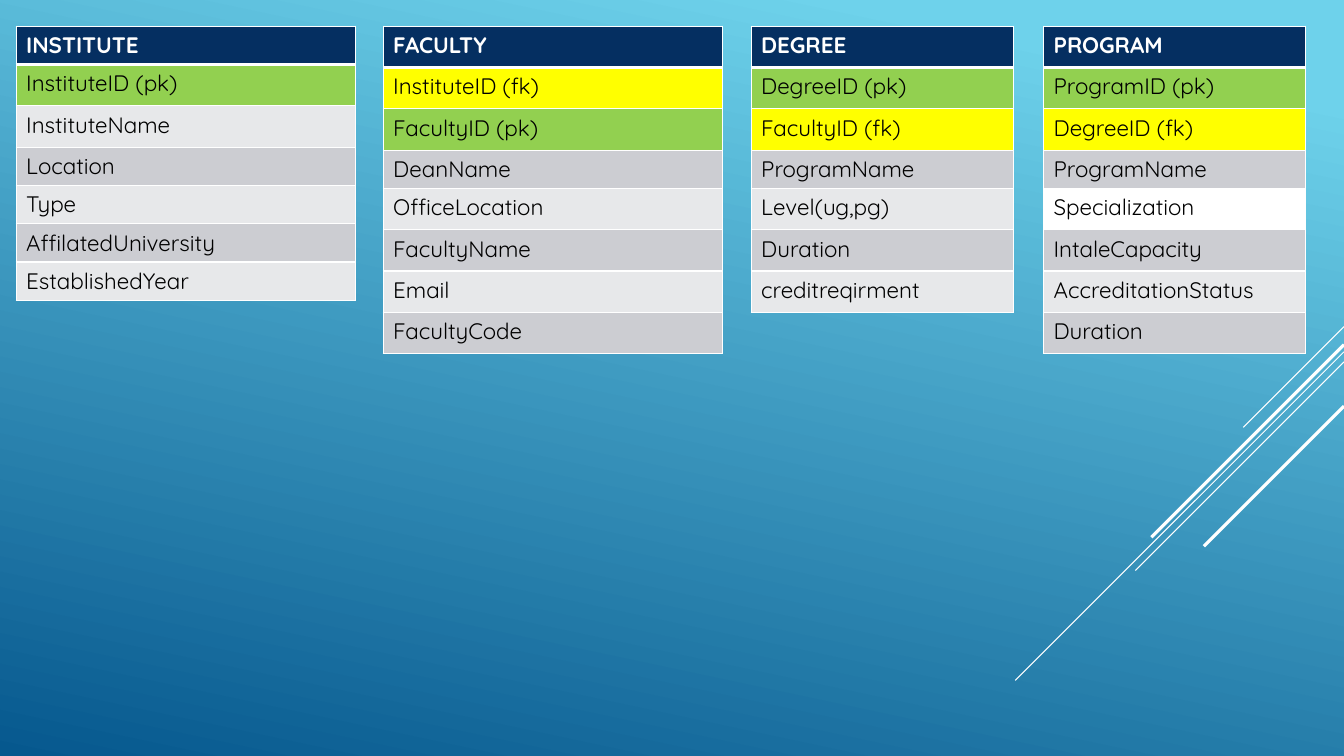
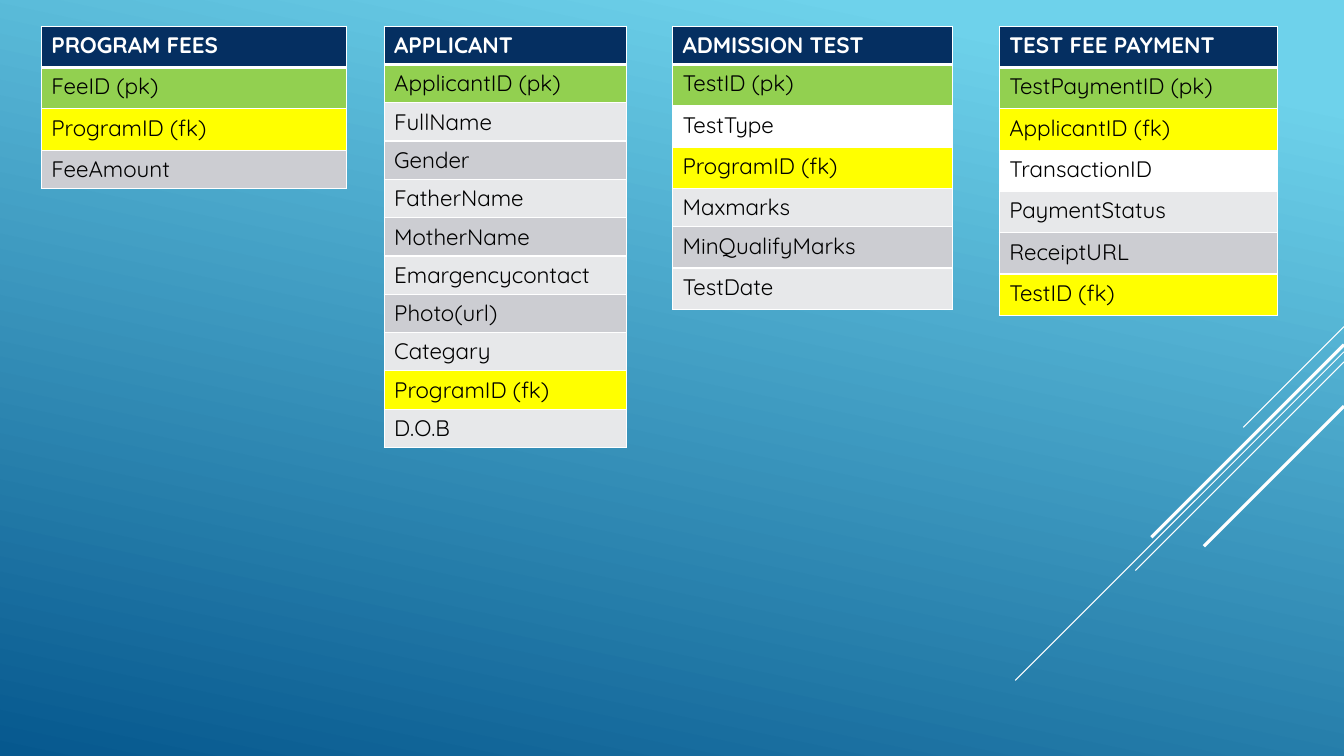
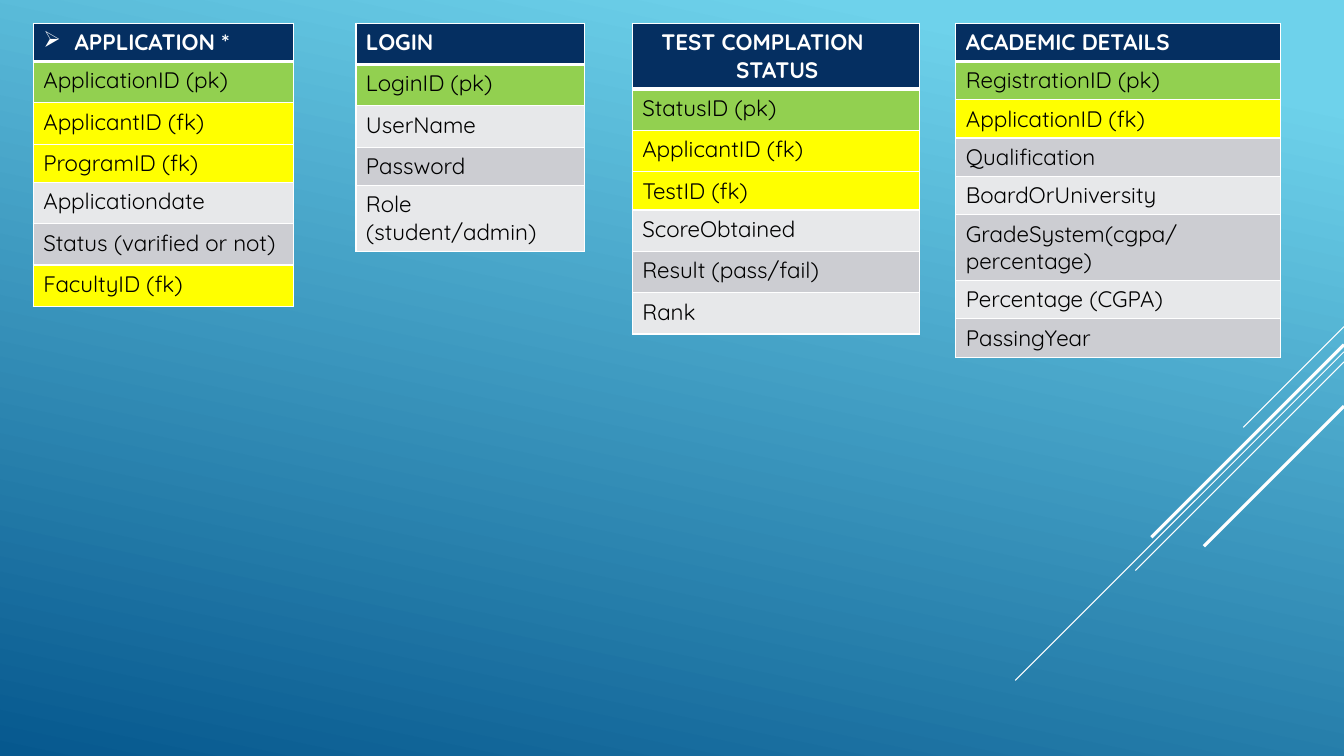
from dataclasses import dataclass

from lxml.etree import SubElement
from pptx import Presentation
from pptx.dml.color import RGBColor
from pptx.enum.shapes import MSO_CONNECTOR
from pptx.oxml.ns import qn
from pptx.slide import Slide, SlideMaster
from pptx.table import _Cell
from pptx.text.text import _Paragraph
from pptx.util import Inches, Pt


# Theme: colours, type and row sizes
@dataclass(frozen=True)
class Theme:
    width: float = 13.33
    height: float = 7.5
    font: str = "Quicksand"
    text_size: float = 16
    sky: str = "6ED2EB"
    deep: str = "06588E"
    header: str = "052F61"
    primary_key: str = "92D050"
    foreign_key: str = "FFFF00"
    light_band: str = "E7E8EA"
    dark_band: str = "CCCDD2"
    white: str = "FFFFFF"
    black: str = "000000"
    row: float = 0.41
    tight_row: float = 0.38
    tall_row: float = 0.65
    border: float = 1
    header_border: float = 3


THEME = Theme()


@dataclass(frozen=True)
class Ray:
    """Diagonal line that runs down and left from the right edge."""
    top: float
    run: float
    weight: float


@dataclass(frozen=True)
class Heading:
    text: str
    indent: float = 0
    bullet: str = ""


@dataclass(frozen=True)
class Entity:
    """Database table; row 0 is the heading, fields start at row 1."""
    headings: tuple[Heading, ...]
    left: float
    width: float
    fields: tuple[str, ...]
    tight: tuple[int, ...] = ()
    tall: tuple[int, ...] = ()
    plain: tuple[int, ...] = ()


@dataclass(frozen=True)
class SchemaPage:
    top: float
    entities: tuple[Entity, ...]


# Content
RAYS = (
    Ray(3.24, 1.0, 0.75),
    Ray(3.49, 3.26, 0.75),
    Ray(3.59, 2.07, 0.75),
    Ray(3.42, 1.91, 2.25),
    Ray(4.03, 1.39, 2.25),
)

PAGES = (
    SchemaPage(0.26, (
        Entity((Heading("INSTITUTE"),), 0.16, 3.37,
               ("InstituteID (pk)", "InstituteName", "Location", "Type",
                "AffilatedUniversity", "EstablishedYear"),
               tight=(0, 3, 4, 5, 6)),
        Entity((Heading("FACULTY"),), 3.8, 3.37,
               ("InstituteID (fk)", "FacultyID (pk)", "DeanName", "OfficeLocation",
                "FacultyName", "Email", "FacultyCode"),
               tight=(3,)),
        Entity((Heading("DEGREE"),), 7.45, 2.6,
               ("DegreeID (pk)", "FacultyID (fk)", "ProgramName", "Level(ug,pg)",
                "Duration", "creditreqirment"),
               tight=(3,)),
        Entity((Heading("PROGRAM"),), 10.35, 2.6,
               ("ProgramID (pk)", "DegreeID (fk)", "ProgramName", "Specialization",
                "IntaleCapacity", "AccreditationStatus", "Duration"),
               tight=(3,), plain=(4,)),
    )),
    SchemaPage(0.26, (
        Entity((Heading("PROGRAM FEES"),), 0.41, 3.03,
               ("FeeID (pk)", "ProgramID (fk)", "FeeAmount"),
               tight=(3,)),
        Entity((Heading("APPLICANT"),), 3.81, 2.4,
               ("ApplicantID (pk)", "FullName", "Gender", "FatherName", "MotherName",
                "Emargencycontact", "Photo(url)", "Categary", "ProgramID (fk)", "D.O.B"),
               tight=tuple(range(11))),
        Entity((Heading("ADMISSION TEST"),), 6.67, 2.78,
               ("TestID (pk)", "TestType", "ProgramID (fk)", "Maxmarks",
                "MinQualifyMarks", "TestDate"),
               tight=(0, 4), plain=(2,)),
        Entity((Heading("TEST FEE PAYMENT"),), 9.91, 2.76,
               ("TestPaymentID (pk)", "ApplicantID (fk)", "TransactionID",
                "PaymentStatus", "ReceiptURL", "TestID (fk)"),
               plain=(3,)),
    )),
    SchemaPage(0.23, (
        Entity((Heading("APPLICATION *", 0.31, "➢"),), 0.33, 2.58,
               ("ApplicationID (pk)", "ApplicantID (fk)", "ProgramID (fk)",
                "Applicationdate", "Status (varified or not)", "FacultyID (fk)"),
               tight=(0, 3)),
        Entity((Heading("LOGIN"),), 3.53, 2.27,
               ("LoginID (pk)", "UserName", "Password", "Role (student/admin)"),
               tight=(3,), tall=(4,)),
        Entity((Heading("TEST COMPLATION", 0.19), Heading("STATUS", 0.93)), 6.27, 2.85,
               ("StatusID (pk)", "ApplicantID (fk)", "TestID (fk)", "ScoreObtained",
                "Result (pass/fail)", "Rank"),
               tight=(3,), tall=(0,)),
        Entity((Heading("ACADEMIC DETAILS"),), 9.48, 3.22,
               ("RegistrationID (pk)", "ApplicationID (fk)", "Qualification",
                "BoardOrUniversity", "GradeSystem(cgpa/percentage)",
                "Percentage (CGPA)", "PassingYear"),
               tight=(0, 1, 2, 3, 4, 6, 7), tall=(5,)),
    )),
)


# Rules for rows
def row_height(entity: Entity, row: int) -> float:
    if row in entity.tall:
        return THEME.tall_row
    return THEME.tight_row if row in entity.tight else THEME.row


def field_fill(entity: Entity, row: int, field: str) -> str:
    if field.endswith("(pk)"):
        return THEME.primary_key
    if field.endswith("(fk)"):
        return THEME.foreign_key
    if row in entity.plain:
        return THEME.white
    return THEME.dark_band if row % 2 else THEME.light_band


# Cell formatting
def set_borders(cell: _Cell, top: float, bottom: float) -> None:
    weights = {"L": THEME.border, "R": THEME.border, "T": top, "B": bottom}
    properties = cell._tc.get_or_add_tcPr()
    for side, weight in weights.items():
        border = SubElement(properties, qn(f"a:ln{side}"), w=str(Pt(weight)))
        solid = SubElement(border, qn("a:solidFill"))
        SubElement(solid, qn("a:srgbClr"), val=THEME.white)


def write(paragraph: _Paragraph, text: str, colour: str, bold: bool) -> None:
    run = paragraph.add_run()
    run.text = text
    text_format = {"name": THEME.font, "size": Pt(THEME.text_size), "bold": bold}
    for attribute, value in text_format.items():
        setattr(run.font, attribute, value)
    run.font.color.rgb = RGBColor.from_string(colour)


def fill_cell(cell: _Cell, lines: tuple[Heading, ...], fill: str, colour: str,
              bold: bool, top: float, bottom: float) -> None:
    set_borders(cell, top, bottom)
    cell.fill.solid()
    cell.fill.fore_color.rgb = RGBColor.from_string(fill)
    for number, line in enumerate(lines):
        frame = cell.text_frame
        paragraph = frame.add_paragraph() if number else frame.paragraphs[0]
        write(paragraph, line.text, colour, bold)
        if line.indent:
            properties = paragraph._p.get_or_add_pPr()
            properties.set("marL", str(Inches(line.indent)))
            hanging = -Inches(line.indent) if line.bullet else 0
            properties.set("indent", str(hanging))
            if line.bullet:
                SubElement(properties, qn("a:buChar"), char=line.bullet)


def draw_entity(slide: Slide, entity: Entity, top: float) -> None:
    heights = [row_height(entity, row) for row in range(len(entity.fields) + 1)]
    table = slide.shapes.add_table(
        len(heights), 1, Inches(entity.left), Inches(top),
        Inches(entity.width), Inches(sum(heights))).table
    table.horz_banding = False
    for table_row, height in zip(table.rows, heights):
        table_row.height = Inches(height)

    fill_cell(table.cell(0, 0), entity.headings, THEME.header, THEME.white, True,
              THEME.border, THEME.header_border)
    for row, field in enumerate(entity.fields, start=1):
        above = THEME.header_border if row == 1 else THEME.border
        fill_cell(table.cell(row, 0), (Heading(field),), field_fill(entity, row, field),
                  THEME.black, False, above, THEME.border)


# Shared backdrop on the master
def paint_background(master: SlideMaster) -> None:
    fill = master.background.fill
    fill.gradient()
    fill.gradient_angle = 258
    for stop, position, colour in zip(fill.gradient_stops, (0.1, 1.0),
                                      (THEME.sky, THEME.deep)):
        stop.position = position
        stop.color.rgb = RGBColor.from_string(colour)


def draw_ray(slide: Slide, master: SlideMaster, ray: Ray) -> None:
    line = slide.shapes.add_connector(
        MSO_CONNECTOR.STRAIGHT, Inches(THEME.width), Inches(ray.top),
        Inches(THEME.width - ray.run), Inches(ray.top + ray.run))
    line.line.color.rgb = RGBColor.from_string(THEME.white)
    line.line.width = Pt(ray.weight)
    SubElement(line.element.spPr, qn("a:effectLst"))
    # Ids on the master must not clash with its placeholders
    line.element.nvCxnSpPr.cNvPr.set("id", str(100 + RAYS.index(ray)))
    master.shapes.element.append(line.element)


def main() -> None:
    deck = Presentation()
    deck.slide_width = Inches(THEME.width)
    deck.slide_height = Inches(THEME.height)
    master = deck.slide_master
    blank = deck.slide_layouts.get_by_name("Blank")
    paint_background(master)

    slides = [deck.slides.add_slide(blank) for _ in PAGES]
    for ray in RAYS:
        draw_ray(slides[0], master, ray)
    for slide, page in zip(slides, PAGES):
        for entity in page.entities:
            draw_entity(slide, entity, page.top)
    deck.save("out.pptx")


if __name__ == "__main__":
    main()
